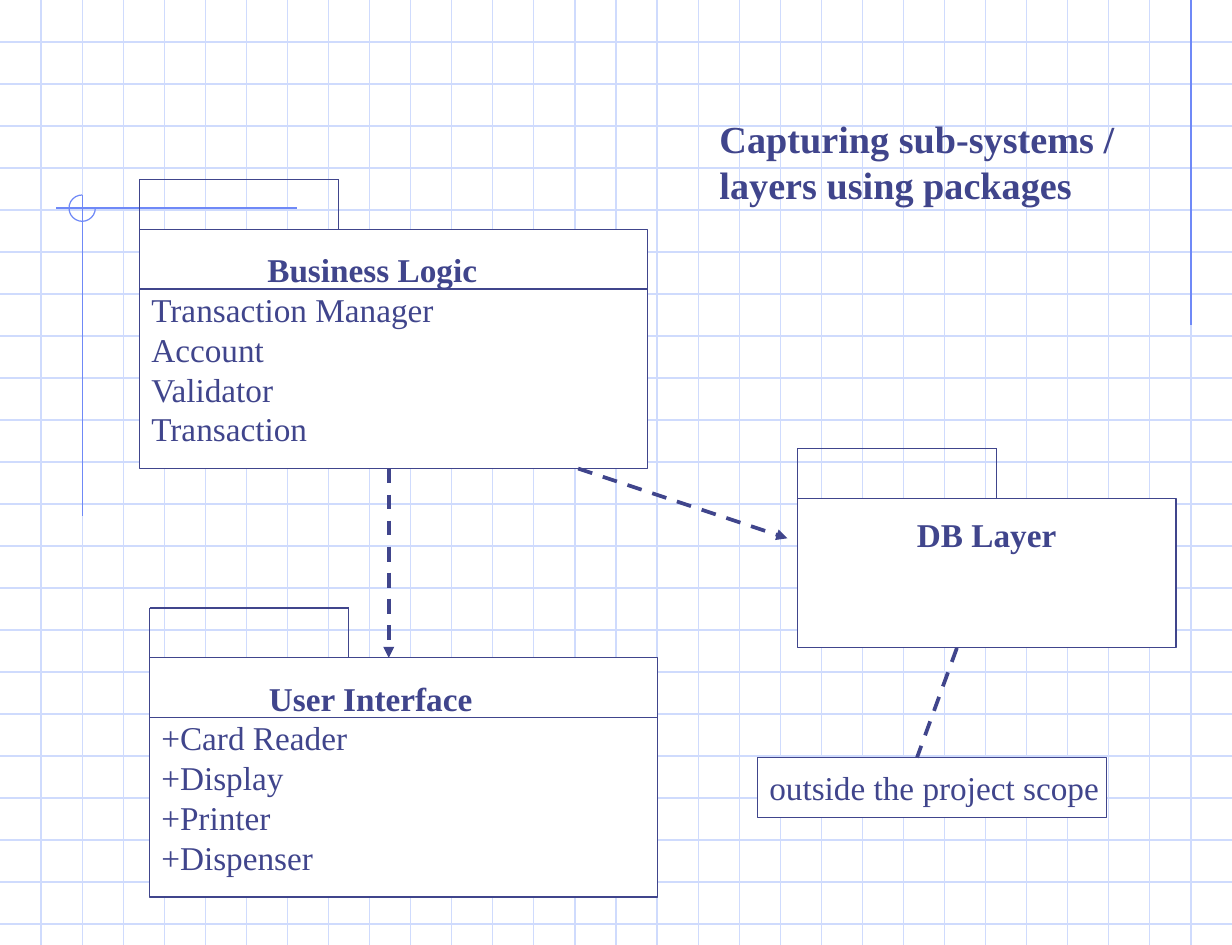
from itertools import pairwise

from pptx import Presentation
from pptx.dml.color import RGBColor
from pptx.enum.dml import MSO_LINE
from pptx.enum.shapes import MSO_CONNECTOR, MSO_SHAPE
from pptx.enum.text import MSO_ANCHOR, PP_ALIGN
from pptx.oxml.ns import qn
from pptx.util import Inches, Pt

WHITE = RGBColor(0xFF, 0xFF, 0xFF)
INK = RGBColor(0x40, 0x45, 0x8C)
GRID = RGBColor(0xCF, 0xDB, 0xFD)
ACCENT = RGBColor(0x6F, 0x89, 0xF7)
FONT = "Times New Roman"

WIDTH, HEIGHT = Inches(10.3), Inches(7.9)
UNIT = Inches(1) / 12  # layout module of the diagram
COLUMN, ROW = WIDTH / 30, HEIGHT / 22.5  # squares of the graph paper


def units(*values):
    return [round(value * UNIT) for value in values]


def add_line(slide, start, end, color=INK, weight=0.75):
    line = slide.shapes.add_connector(
        MSO_CONNECTOR.STRAIGHT, *(round(value) for value in (*start, *end)))
    line.line.color.rgb = color
    line.line.width = Pt(weight)
    properties = line._element.spPr
    properties.append(properties.makeelement(qn("a:effectLst"), {}))
    return line


def add_dependency(slide, start, end, arrow=True):
    line = add_line(slide, units(*start), units(*end), weight=2.25)
    line.line.dash_style = MSO_LINE.DASH
    if arrow:
        outline = line.line._get_or_add_ln()
        outline.append(outline.makeelement(qn("a:tailEnd"), {"type": "triangle"}))


def write(shape, lines, size=20, bold_first=False, indent=0):
    frame = shape.text_frame
    frame.word_wrap = True
    frame.text = "\n".join(lines)
    for number, paragraph in enumerate(frame.paragraphs):
        paragraph.alignment = PP_ALIGN.LEFT
        heading = bold_first and number == 0
        if heading and indent:
            paragraph._p.get_or_add_pPr().set("marL", str(Inches(indent)))
        paragraph.font.name = FONT
        paragraph.font.size = Pt(size)
        paragraph.font.bold = heading
        paragraph.font.color.rgb = INK
    return frame


def add_box(slide, box):
    shape = slide.shapes.add_shape(MSO_SHAPE.RECTANGLE, *units(*box))
    shape.shadow.inherit = False
    shape.fill.solid()
    shape.fill.fore_color.rgb = WHITE
    shape.line.color.rgb = INK
    shape.line.width = Pt(0.75)
    return shape


def add_package(slide, box, name, indent, members=()):
    left, top, width, _ = box
    frame = write(add_box(slide, box), [name, *members], bold_first=True, indent=indent)
    if members:
        frame.vertical_anchor = MSO_ANCHOR.MIDDLE
        divider = top + 6
        add_line(slide, units(left, divider), units(left + width, divider))
    else:
        frame.vertical_anchor = MSO_ANCHOR.TOP
        frame.margin_top = Inches(0.13)
    # Folder tab
    right, tab_top = left + 20, top - 5
    corners = [(left, top), (left, tab_top), (right, tab_top), (right, top)]
    for start, end in pairwise(corners):
        add_line(slide, units(*start), units(*end))


def add_note(slide, box, text):
    frame = write(add_box(slide, box), [text])
    frame.vertical_anchor = MSO_ANCHOR.MIDDLE
    frame.margin_right = 0


def add_title(slide, box, text):
    write(slide.shapes.add_textbox(*units(*box)), [text], size=23, bold_first=True)


def add_graph_paper(slide):
    for row in range(1, 23):
        add_line(slide, (0, row * ROW), (WIDTH, row * ROW), GRID)
    for column in range(1, 30):
        add_line(slide, (column * COLUMN, 0), (column * COLUMN, HEIGHT), GRID)

    # Accent lines and the three-quarter circle at their crossing
    center_x, center_y, radius = 2 * COLUMN, Inches(1.74), Inches(0.11)
    add_line(slide, (29 * COLUMN, 0), (29 * COLUMN, Inches(2.72)), ACCENT)
    add_line(slide, (Inches(2.48), center_y), (Inches(0.47), center_y), ACCENT)
    add_line(slide, (center_x, center_y - radius), (center_x, Inches(4.31)), ACCENT)
    arc = slide.shapes.add_shape(
        MSO_SHAPE.ARC, round(center_x - radius), center_y - radius, 2 * radius, 2 * radius)
    arc.adjustments[0] = 0
    arc.adjustments[1] = 162  # 270 degrees
    arc.shadow.inherit = False
    arc.fill.background()
    arc.line.color.rgb = ACCENT
    arc.line.width = Pt(0.75)


def add_package_diagram(slide):
    add_package(slide, (14, 23, 51, 24), "Business Logic", 0.97,
                ["Transaction Manager", "Account", "Validator", "Transaction"])
    add_package(slide, (80, 50, 38, 15), "DB Layer", 0.9)
    add_dependency(slide, (58, 47), (79, 54))
    add_package(slide, (15, 66, 51, 24), "User Interface", 0.9,
                ["+Card Reader", "+Display", "+Printer", "+Dispenser"])
    add_note(slide, (76, 76, 35, 6), "outside the project scope")
    add_dependency(slide, (96, 65), (92, 76), arrow=False)
    add_dependency(slide, (39, 47), (39, 66))


def main():
    presentation = Presentation()
    presentation.slide_width, presentation.slide_height = WIDTH, HEIGHT
    slide = presentation.slides.add_slide(presentation.slide_layouts[6])
    slide.background.fill.solid()
    slide.background.fill.fore_color.rgb = WHITE
    add_graph_paper(slide)
    add_package_diagram(slide)
    add_title(slide, (71, 11, 45, 10.4), "Capturing sub-systems / layers using packages")
    presentation.save("out.pptx")


if __name__ == "__main__":
    main()
